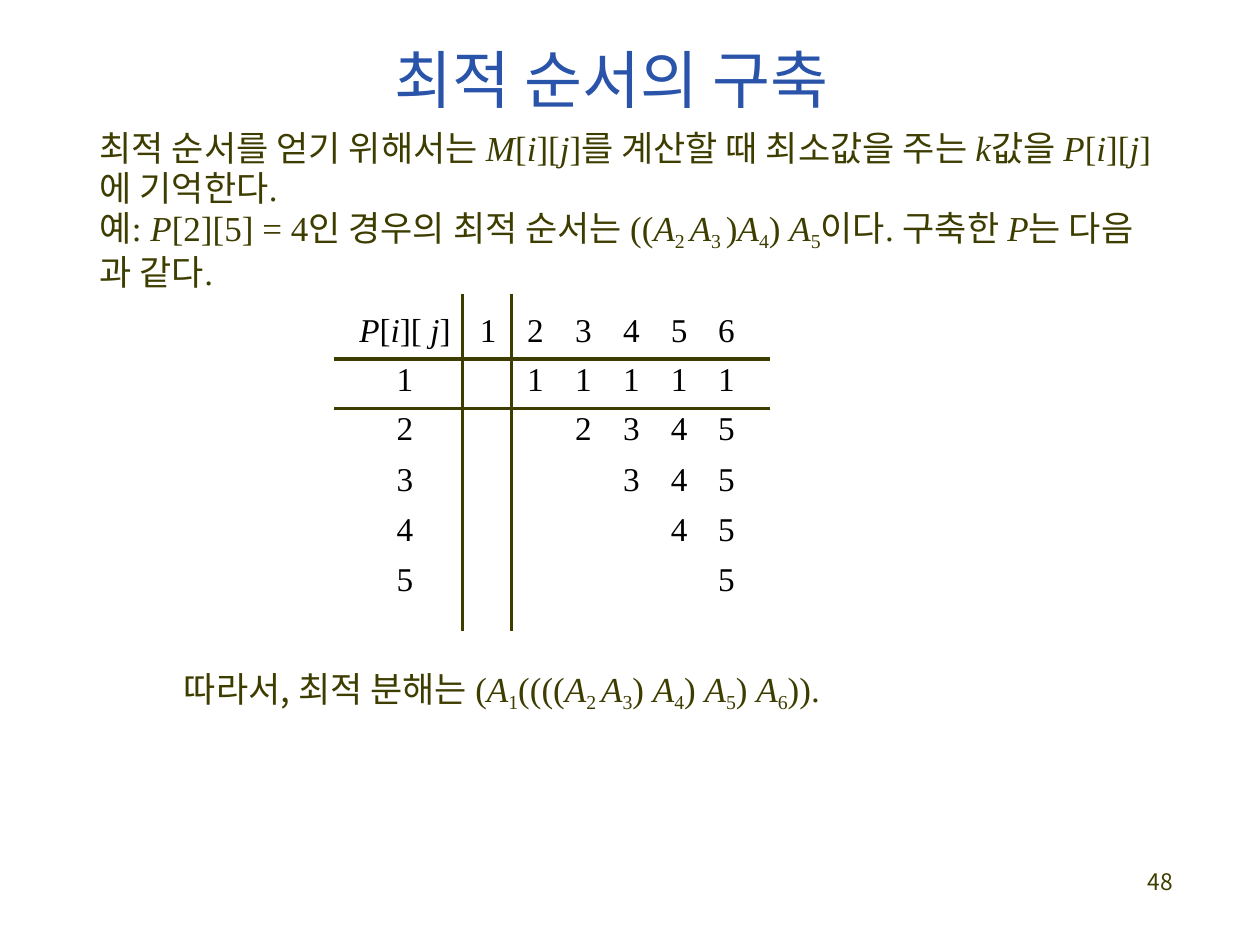
from dataclasses import dataclass

from pptx import Presentation
from pptx.dml.color import RGBColor as RGB
from pptx.enum.text import PP_ALIGN as Align
from pptx.oxml import parse_xml
from pptx.oxml.ns import nsdecls, qn
from pptx.util import Pt


@dataclass(frozen=True)
class Theme:
    ink: str = "3E3D00"
    blue: str = "2A54AA"
    black: str = "000000"
    hangul: str = "Noto Sans CJK KR"
    latin: str = "Times New Roman"
    title: float = 36
    body: float = 20
    sub: float = 19.5
    cell: float = 19
    page: float = 13
    rule: float = 2.25


class Deck:
    def __init__(self, theme):
        self.theme = theme
        self.prs = Presentation()
        self.prs.slide_width, self.prs.slide_height = Pt(720), Pt(540)
        self.slide = self.prs.slides.add_slide(self.prs.slide_layouts[6])

    def fill(self, para, text, size, color, font=None, indent=0):
        """Write pieces split by |, where / marks italic and _ a subscript."""
        props = para._p.get_or_add_pPr()
        props.set("marL", str(Pt(indent)))
        props.set("indent", "0")
        para.font.size = Pt(size)
        para.font.color.rgb = RGB.from_string(color)
        para.font.name = font or self.theme.latin
        east = parse_xml(f'<a:ea {nsdecls("a")} typeface="{self.theme.hangul}"/>')
        props.find(qn("a:defRPr")).append(east)
        for piece in text.split("|"):
            run = para.add_run()
            run.text = piece.lstrip("/_")
            if piece.startswith("/"):
                run.font.italic = True
            elif piece.startswith("_"):
                run.font.size = Pt(self.theme.sub)
                run.font._element.set("baseline", "-21000")
            elif any("가" <= char <= "힣" for char in piece):
                run.font.name = self.theme.hangul

    def text(self, box, lines, size, color, font=None, indent=0, top=0, pitch=None, gaps=()):
        frame = self.slide.shapes.add_textbox(*map(Pt, box)).text_frame
        frame.word_wrap = True
        frame.margin_left = frame.margin_right = frame.margin_bottom = 0
        frame.margin_top = Pt(top)
        for i, line in enumerate(lines):
            para = frame.add_paragraph() if i else frame.paragraphs[0]
            if pitch:
                para.line_spacing = Pt(pitch)
            if i in gaps:
                para.space_before = Pt(gaps[i])
            self.fill(para, line, size, color, font, indent)

    def edge(self, cell, side, shown):
        paint = "<a:noFill/>"
        if shown:
            paint = f'<a:solidFill><a:srgbClr val="{self.theme.ink}"/></a:solidFill>'
        width = Pt(self.theme.rule) if shown else 0
        cell._tc.get_or_add_tcPr().append(parse_xml(
            f'<a:ln{side} {nsdecls("a")} w="{width}">{paint}</a:ln{side}>'))

    def table(self, left, top, cols, rows, data, indents, ruled):
        grid = self.slide.shapes.add_table(
            len(rows), len(cols), Pt(left), Pt(top), Pt(sum(cols)), Pt(sum(rows))).table
        grid.first_row = grid.horz_banding = False
        for col, width in zip(grid.columns, cols):
            col.width = Pt(width)
        for row, height in zip(grid.rows, rows):
            row.height = Pt(height)
        for r, line in enumerate(data):
            for c, value in enumerate(line):
                cell = grid.cell(r, c)
                cell.margin_left = cell.margin_right = cell.margin_bottom = 0
                cell.margin_top = Pt(1.6 if r else 10.8)
                for side, index in zip("LRTB", (c, c + 1, r, r + 1)):
                    self.edge(cell, side, index in ruled)
                cell.fill.background()
                if value:
                    para = cell.text_frame.paragraphs[0]
                    para.alignment = Align.LEFT if c in (1, len(cols) - 1) else Align.CENTER
                    self.fill(para, value, self.theme.cell, self.theme.black,
                              indent=indents.get(c, 0))

    def save(self):
        self.prs.save("out.pptx")


def main():
    look = Theme()
    deck = Deck(look)

    # Rule for building the order
    deck.text((54.7, 72.7, 647.3, 95.8), [
        "최적 순서를 얻기 위해서는 |/M|[|/i|][|/j|]|를 계산할 때 최소값을 주는 |/k|값을 |/P|[|/i|][|/j|]",
        "에 기억한다|.",
        "예|: |/P|[2][5] = 4|인 경우의 최적 순서는 |((|/A|_2 |/A|_3 |)|/A|_4|) |/A|_5"
        "|이다|. |구축한 |/P|는 다음",
        "과 같다|.",
    ], look.body, look.ink, indent=2.2, top=0.7, pitch=22.8, gaps={2: 2.4})

    # Title
    deck.text((69.8, 18, 581, 52.6), ["최적 순서의 구축"], look.title, look.blue,
              look.hangul, indent=155.5, top=5)

    # Page number
    deck.text((653, 496.8, 21.6, 15.1), ["48"], look.page, look.ink, look.hangul,
              indent=2.9, pitch=14.7)

    # Table of split points: row i is filled from column i + 1 on
    heads = ["/P|[|/i|][ |/j|]"] + [str(j) for j in range(1, 7)]
    splits = [[str(i)] + [str(max(i, j - 1) if i > 1 else 1) if j > i else ""
                          for j in range(1, 7)] for i in range(1, 6)]
    deck.table(190.8, 167.8, [73.4, 28.1] + [27.4] * 4 + [38.2],
               [37.4, 28.1] + [28.8] * 3 + [41], [heads] + splits,
               indents={0: 7.8, 1: 10.1, 6: 8.6}, ruled=(1, 2))

    # Resulting order
    deck.text((102.2, 380.9, 396, 25.9), [
        "따라서, 최적 분해는 |(|/A|_1|((((|/A|_2 |/A|_3|) |/A|_4|) |/A|_5|) |/A|_6|)).",
    ], look.body, look.ink, indent=2.9, top=0.7)

    deck.save()


if __name__ == "__main__":
    main()
